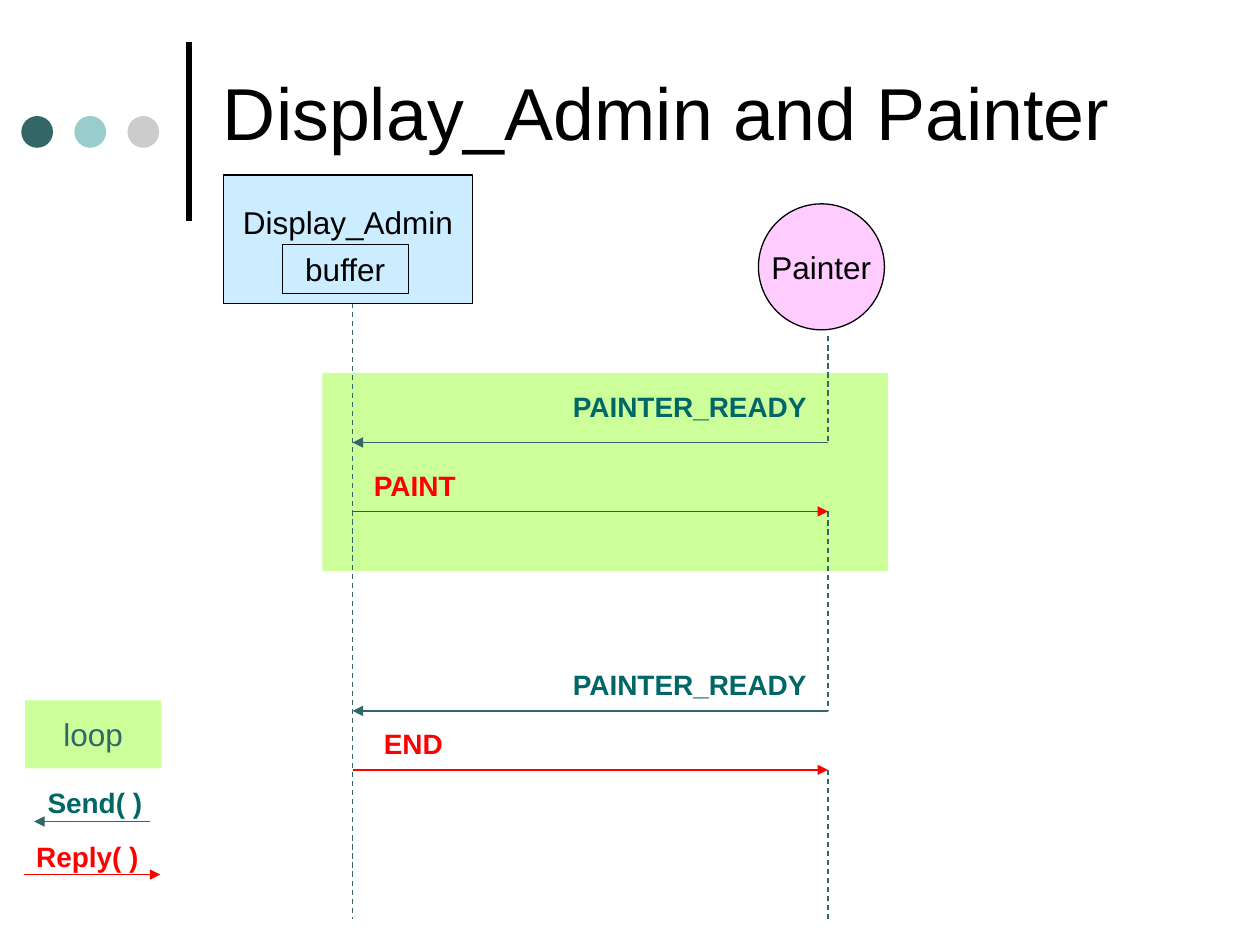
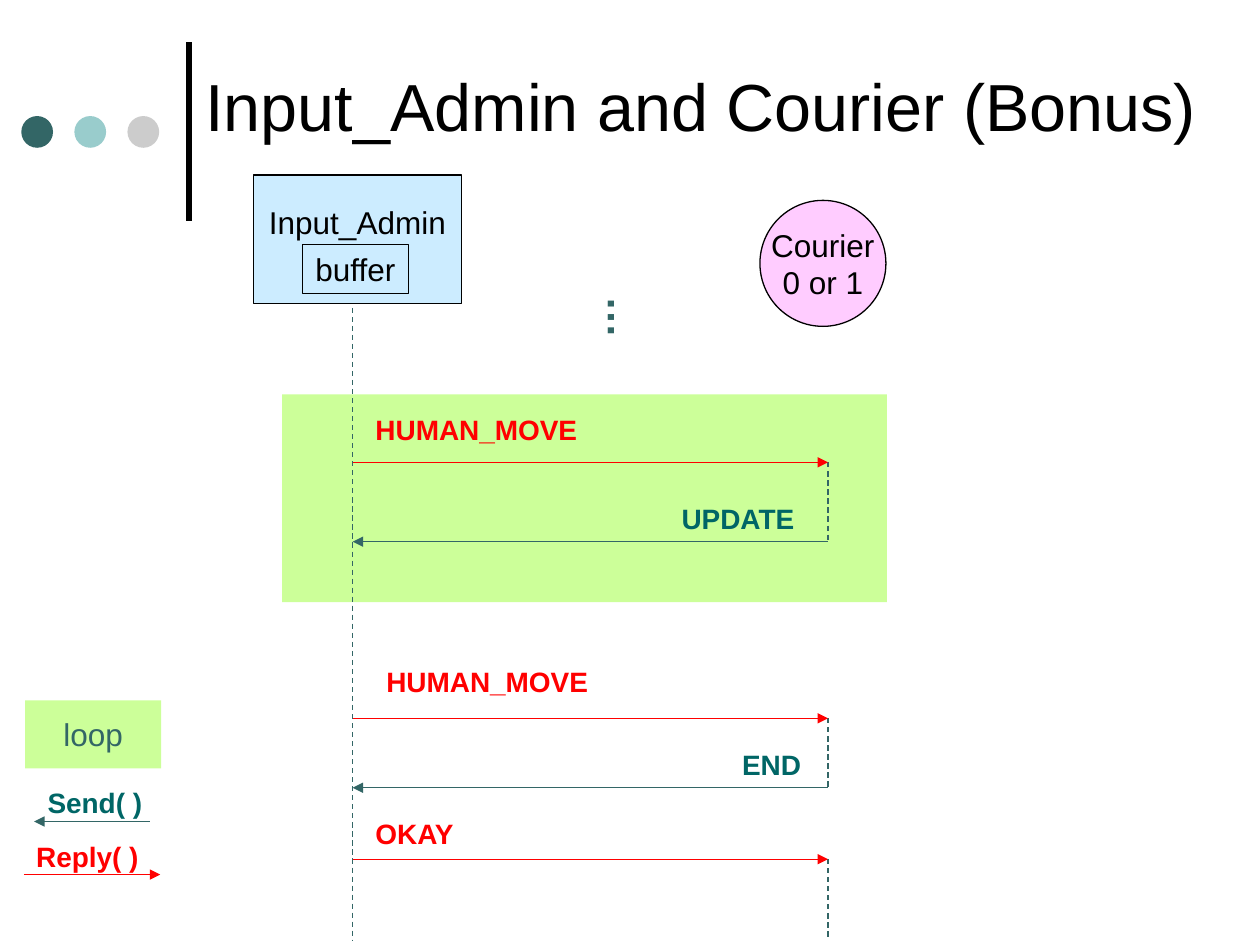
from dataclasses import dataclass

from lxml import etree
from pptx import Presentation
from pptx import util as u
from pptx.dml.color import RGBColor
from pptx.enum import dml, shapes, text
from pptx.oxml import ns

Cm = u.Cm


@dataclass(frozen=True)
class Theme:
    font: str = "Arial"
    ink: str = "000000"
    teal: str = "336666"
    send: str = "006666"
    reply: str = "FF0000"
    loop: str = "CCFF99"
    admin: str = "CCECFF"
    worker: str = "FFCCFF"
    dots: tuple = ("336666", "99CCCC", "CCCCCC")
    body_size: int = 18
    label_size: int = 16
    ellipsis_size: int = 24
    thin: float = 0.75


THEME = Theme()

# Content: lengths in cm, boxes as (left, top, width, height)
ADMIN_X, WORKER_X = 7.11, 16.69
LABEL_HEIGHT = 0.94
LABEL_WIDTHS = {
    "PAINTER_READY": 5.26, "PAINT": 2.34, "END": 1.7, "HUMAN_MOVE": 4.57,
    "UPDATE": 2.82, "OKAY": 2.13, "Send( )": 2.41, "Reply( )": 2.57,
}

# Messages: (label, kind, arrow y, label left, label top)
DIAGRAMS = [
    {
        "title": "Display_Admin and Painter",
        "title_box": (4.24, 0.53, 19.08, 3.4),
        "title_size": 42,
        "admin": ("Display_Admin", (4.5, 3.53, 5.03, 2.59)),
        "buffer": (5.69, 4.93, 2.54, 0.99),
        "worker": ("Painter", (15.29, 4.11, 2.54, 2.54)),
        "loop": (6.5, 7.52, 11.4, 3.99),
        "admin_line": (5.92, 18.52),
        "worker_line": (6.78, 18.52),
        "messages": [
            ("PAINTER_READY", "send", 8.92, 11.3, 7.72),
            ("PAINT", "reply", 10.31, 7.29, 9.32),
            ("PAINTER_READY", "send", 14.33, 11.3, 13.34),
            ("END", "reply", 15.52, 7.49, 14.53),
        ],
    },
    {
        "title": "Input_Admin and Courier (Bonus)",
        "title_box": (3.89, 0.71, 21.11, 2.79),
        "title_size": 38,
        "admin": ("Input_Admin", (5.11, 3.53, 4.19, 2.59)),
        "buffer": (6.1, 4.93, 2.13, 0.99),
        "worker": ("Courier\v0 or 1", (15.32, 4.04, 2.54, 2.54)),
        "loop": (5.69, 7.95, 12.19, 4.19),
        "admin_line": (5.84, 18.97),
        "worker_line": (None, 18.92),
        "messages": [
            ("HUMAN_MOVE", "reply", 9.32, 7.32, 8.2),
            ("UPDATE", "send", 10.92, 13.49, 9.98),
            ("HUMAN_MOVE", "reply", 14.48, 7.54, 13.28),
            ("END", "send", 15.88, 14.71, 14.94),
            ("OKAY", "reply", 17.32, 7.32, 16.33),
        ],
        "ellipsis": (11.71, 5.72, 1.52, 1.12),
    },
]

LEGEND_LOOP = (0.51, 14.12, 2.74, 1.37)
# Legend arrows: (label, kind, from x, to x, arrow y, label left, label top)
LEGEND_ARROWS = [
    ("Send( )", "send", 3.02, 0.69, 16.56, 0.71, 15.72),
    ("Reply( )", "reply", 0.48, 3.23, 17.63, 0.48, 16.79),
]


# Drawing helpers
def color(value):
    return RGBColor.from_string(value)


def lengths(box):
    return [Cm(value) for value in box]


def write(shape, words, size, ink, bold=False, align=text.PP_ALIGN.LEFT):
    frame = shape.text_frame
    frame.word_wrap = False
    frame.text = words
    paragraph = frame.paragraphs[0]
    paragraph.alignment = align
    font = paragraph.font
    font.name, font.size, font.bold = THEME.font, u.Pt(size), bold
    font.color.rgb = color(ink)
    return frame


def add_box(parent, kind, box, fill, words="", ink=THEME.ink, outlined=False):
    shape = parent.shapes.add_shape(kind, *lengths(box))
    shape.shadow.inherit = False
    shape.fill.solid()
    shape.fill.fore_color.rgb = color(fill)
    if outlined:
        shape.line.color.rgb = color(THEME.ink)
        shape.line.width = u.Pt(THEME.thin)
    else:
        shape.line.fill.background()
    if words:
        frame = write(shape, words, THEME.body_size, ink, align=text.PP_ALIGN.CENTER)
        frame.vertical_anchor = text.MSO_ANCHOR.MIDDLE
    return shape


def add_line(slide, start, end, ink, width=THEME.thin, dashed=False, arrow=False):
    line = slide.shapes.add_connector(
        shapes.MSO_CONNECTOR.STRAIGHT, *lengths(start + end))
    line.line.color.rgb = color(ink)
    line.line.width = u.Pt(width)
    if dashed:
        line.line.dash_style = dml.MSO_LINE.DASH
    if arrow:
        etree.SubElement(line.get_or_add_ln(), ns.qn("a:tailEnd"), type="triangle")
    etree.SubElement(line.element.spPr, ns.qn("a:effectLst"))
    return line


def add_message(slide, label, kind, start_x, end_x, y, left, top):
    arrow_ink = THEME.teal if kind == "send" else THEME.reply
    add_line(slide, (start_x, y), (end_x, y), arrow_ink, arrow=True)
    box = (left, top, LABEL_WIDTHS[label], LABEL_HEIGHT)
    write(slide.shapes.add_textbox(*lengths(box)), label,
          THEME.label_size, getattr(THEME, kind), bold=True)


# Slide parts
def decorate_layout(layout, slide):
    """Draw the header rule and dots, then move them to the shared layout."""
    parts = [add_line(slide, (3.81, 4.45), (3.81, 0.84), THEME.ink, width=3)]
    for index, fill in enumerate(THEME.dots):
        box = (0.43 + 1.07 * index, 2.34, 0.64, 0.64)
        parts.append(add_box(slide, shapes.MSO_SHAPE.OVAL, box, fill))
    for part in parts:
        layout.shapes.element.append(part.element)


def set_title(slide, diagram):
    title = slide.shapes.title
    title.left, title.top, title.width, title.height = lengths(diagram["title_box"])
    frame = write(title, diagram["title"], diagram["title_size"], THEME.ink)
    frame.word_wrap = True
    frame.auto_size = text.MSO_AUTO_SIZE.NONE
    frame.vertical_anchor = text.MSO_ANCHOR.MIDDLE


def add_lifelines(slide, diagram):
    """The worker's line runs from each reply it gets to its next send."""
    top, bottom = diagram["admin_line"]
    add_line(slide, (ADMIN_X, top), (ADMIN_X, bottom), THEME.teal, dashed=True)
    start, bottom = diagram["worker_line"]
    stops = [(kind, y) for _, kind, y, _, _ in diagram["messages"]]
    for kind, y in stops + [("send", bottom)]:
        if kind == "send":
            add_line(slide, (WORKER_X, start), (WORKER_X, y), THEME.teal, dashed=True)
        else:
            start = y


def add_participants(slide, diagram):
    group = slide.shapes.add_group_shape()
    rectangle = shapes.MSO_SHAPE.RECTANGLE
    name, box = diagram["admin"]
    admin = add_box(group, rectangle, box, THEME.admin, name, outlined=True)
    admin.text_frame.vertical_anchor = text.MSO_ANCHOR.TOP
    admin.text_frame.margin_top = Cm(0.57)
    add_box(group, rectangle, diagram["buffer"], THEME.admin, "buffer", outlined=True)
    name, box = diagram["worker"]
    add_box(slide, shapes.MSO_SHAPE.OVAL, box, THEME.worker, name, outlined=True)


def add_ellipsis(slide, box):
    shape = slide.shapes.add_textbox(*lengths(box))
    frame = write(shape, "…", THEME.ellipsis_size, THEME.teal, bold=True)
    frame.margin_left = frame.margin_right = Cm(0.13)
    frame.margin_top = frame.margin_bottom = Cm(0.25)
    shape.element.txBody.bodyPr.set("vert", "eaVert")


def add_legend(slide):
    add_box(slide, shapes.MSO_SHAPE.RECTANGLE, LEGEND_LOOP,
            THEME.loop, "loop", THEME.teal)
    for arrow in LEGEND_ARROWS:
        add_message(slide, *arrow)


def add_diagram(slide, diagram):
    set_title(slide, diagram)
    add_box(slide, shapes.MSO_SHAPE.RECTANGLE, diagram["loop"], THEME.loop)
    add_lifelines(slide, diagram)
    add_participants(slide, diagram)
    for label, kind, y, left, top in diagram["messages"]:
        ends = (WORKER_X, ADMIN_X) if kind == "send" else (ADMIN_X, WORKER_X)
        add_message(slide, label, kind, *ends, y, left, top)
    if "ellipsis" in diagram:
        add_ellipsis(slide, diagram["ellipsis"])
    add_legend(slide)


def main():
    presentation = Presentation()
    presentation.slide_width, presentation.slide_height = Cm(25.4), Cm(19.05)
    layout = presentation.slide_layouts.get_by_name("Title Only")
    for index, diagram in enumerate(DIAGRAMS):
        slide = presentation.slides.add_slide(layout)
        if index == 0:
            decorate_layout(layout, slide)
        add_diagram(slide, diagram)
    presentation.save("out.pptx")


if __name__ == "__main__":
    main()
